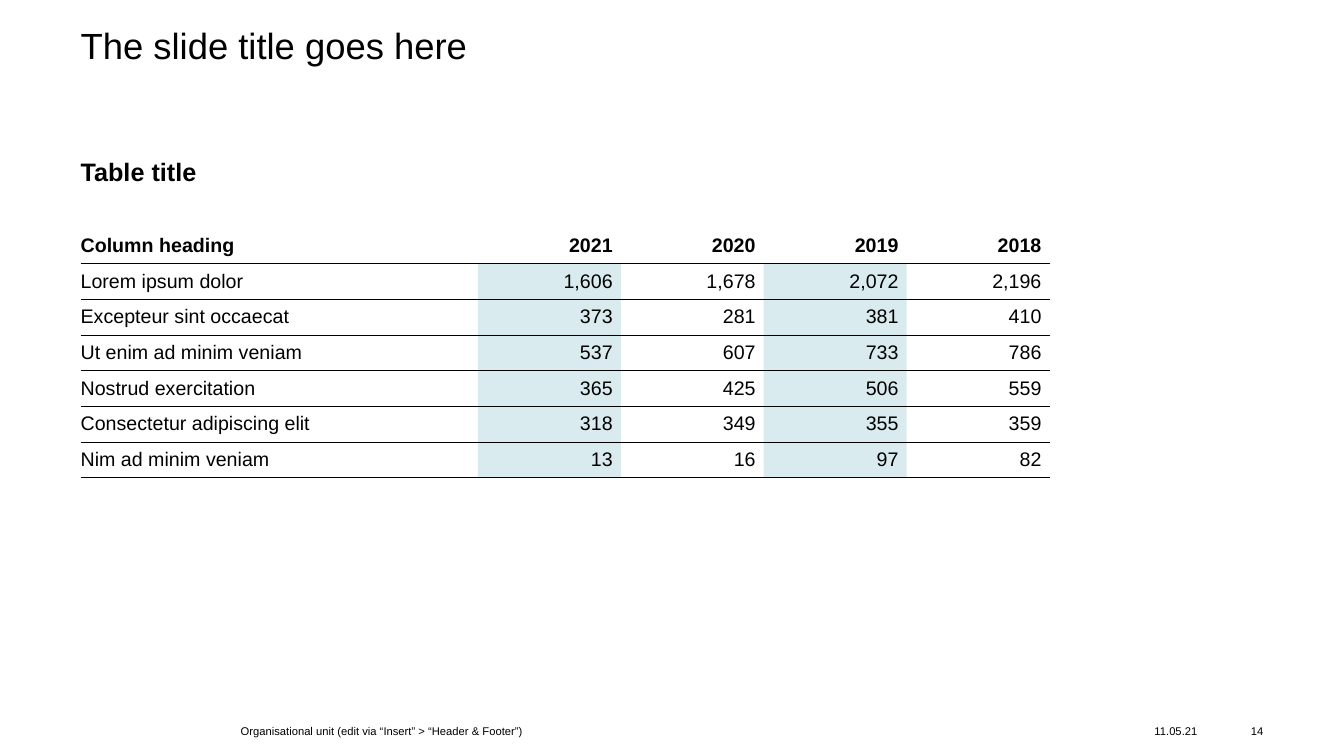
from dataclasses import dataclass

from lxml import etree
from pptx import Presentation, util as u
from pptx.dml.color import RGBColor
from pptx.enum import text
from pptx.oxml import parse_xml
from pptx.oxml.ns import nsdecls, qn

WIDTH, HEIGHT = u.Inches(13.33), u.Inches(7.5)
LEFT, RIGHT = text.PP_ALIGN.LEFT, text.PP_ALIGN.RIGHT
MIDDLE, TOP = text.MSO_ANCHOR.MIDDLE, text.MSO_ANCHOR.TOP
NO_STYLE = "{2D5ABB26-0587-4C30-8999-92F81FD0307C}"


@dataclass(frozen=True)
class Theme:
    font: str = "Arial"
    ink: str = "000000"
    paper: str = "FFFFFF"
    accent: str = "007A96"
    accent_opacity: int = 15
    title: int = 26
    heading: int = 18
    body: int = 14
    footer: int = 8
    head_rule: float = 1
    row_rule: float = 0.5


THEME = Theme()

FIGURES = [
    ("Column heading", "2021", "2020", "2019", "2018"),
    ("Lorem ipsum dolor", "1,606", "1,678", "2,072", "2,196"),
    ("Excepteur sint occaecat", "373", "281", "381", "410"),
    ("Ut enim ad minim veniam", "537", "607", "733", "786"),
    ("Nostrud exercitation", "365", "425", "506", "559"),
    ("Consectetur adipiscing elit", "318", "349", "355", "359"),
    ("Nim ad minim veniam", "13", "16", "97", "82"),
]


def area(left, top, width, height):
    """Turn percentages of the slide's size into lengths."""
    return [u.Emu(int(share * side / 100)) for share, side in
            zip((left, top, width, height), (WIDTH, HEIGHT) * 2)]


def write(frame, words, size, bold=False, align=LEFT):
    frame.text = words
    paragraph = frame.paragraphs[0]
    paragraph.alignment = align
    font = paragraph.font
    font.name, font.size, font.bold = THEME.font, u.Pt(size), bold
    font.color.rgb = RGBColor.from_string(THEME.ink)
    return paragraph


def set_frame(frame, anchor):
    frame.word_wrap = True
    frame.auto_size = text.MSO_AUTO_SIZE.NONE
    frame.vertical_anchor = anchor
    frame.margin_left = frame.margin_right = 0
    frame.margin_top = frame.margin_bottom = 0


def add_title(slide, words, place):
    title = slide.shapes.title
    title.left, title.top, title.width, title.height = place
    set_frame(title.text_frame, TOP)
    write(title.text_frame, words, THEME.title).line_spacing = 0.9


def add_label(slide, words, place, size, anchor=MIDDLE, **style):
    frame = slide.shapes.add_textbox(*place).text_frame
    set_frame(frame, anchor)
    write(frame, words, size, **style)


def rule_below(cell, points):
    cell._tc.get_or_add_tcPr().insert(0, parse_xml(
        f'<a:lnB {nsdecls("a")} w="{u.Pt(points)}"><a:solidFill>'
        f'<a:srgbClr val="{THEME.ink}"/></a:solidFill></a:lnB>'))


def fill_cell(cell, tinted):
    cell.fill.solid()
    cell.fill.fore_color.rgb = RGBColor.from_string(
        THEME.accent if tinted else THEME.paper)
    if tinted:
        color = cell._tc.tcPr.find(qn("a:solidFill")).find(qn("a:srgbClr"))
        etree.SubElement(color, qn("a:alpha"),
                         val=str(THEME.accent_opacity * 1000))


def format_cell(cell, words, row, column):
    header = row == 0
    cell.margin_left = cell.margin_top = cell.margin_bottom = 0
    cell.margin_right = u.Inches(0.08)
    cell.vertical_anchor = MIDDLE
    write(cell.text_frame, words, THEME.body, bold=header,
          align=RIGHT if column else LEFT)
    if header:
        cell.fill.background()
    else:
        fill_cell(cell, tinted=column % 2 == 1)
    rule_below(cell, THEME.head_rule if header else THEME.row_rule)


def add_figures(slide, rows, place, label_share):
    """Add the table; label_share is the first column's percentage of its width."""
    frame = slide.shapes.add_table(len(rows), len(rows[0]), *place)
    table = frame.table
    table.first_row = table.horz_banding = False
    table._tbl.tblPr.find(qn("a:tableStyleId")).text = NO_STYLE
    width = place[2]
    label_width = int(width * label_share / 100)
    year_width = (width - label_width) // (len(rows[0]) - 1)
    for column, part in enumerate(table.columns):
        part.width = year_width if column else label_width
    for row, values in enumerate(rows):
        for column, words in enumerate(values):
            format_cell(table.cell(row, column), words, row, column)


def main():
    deck = Presentation()
    deck.slide_width, deck.slide_height = WIDTH, HEIGHT
    slide = deck.slides.add_slide(deck.slide_layouts.get_by_name("Title Only"))

    add_title(slide, "The slide title goes here", area(6, 3.73, 88, 13.07))
    add_label(slide, "Table title", area(6, 20.67, 88, 5.73), THEME.heading,
              anchor=TOP, bold=True)
    add_figures(slide, FIGURES, area(6, 30.13, 72.1, 33.07), label_share=41)

    for words, left, width, align in [
        ("Organisational unit (edit via “Insert” > “Header & Footer”)",
         17.9, 44.3, LEFT),
        ("11.05.21", 85.9, 5, LEFT),
        ("14", 91.4, 2.6, RIGHT),
    ]:
        add_label(slide, words, area(left, 95.07, width, 3.2), THEME.footer,
                  align=align)
    deck.save("out.pptx")


if __name__ == "__main__":
    main()
